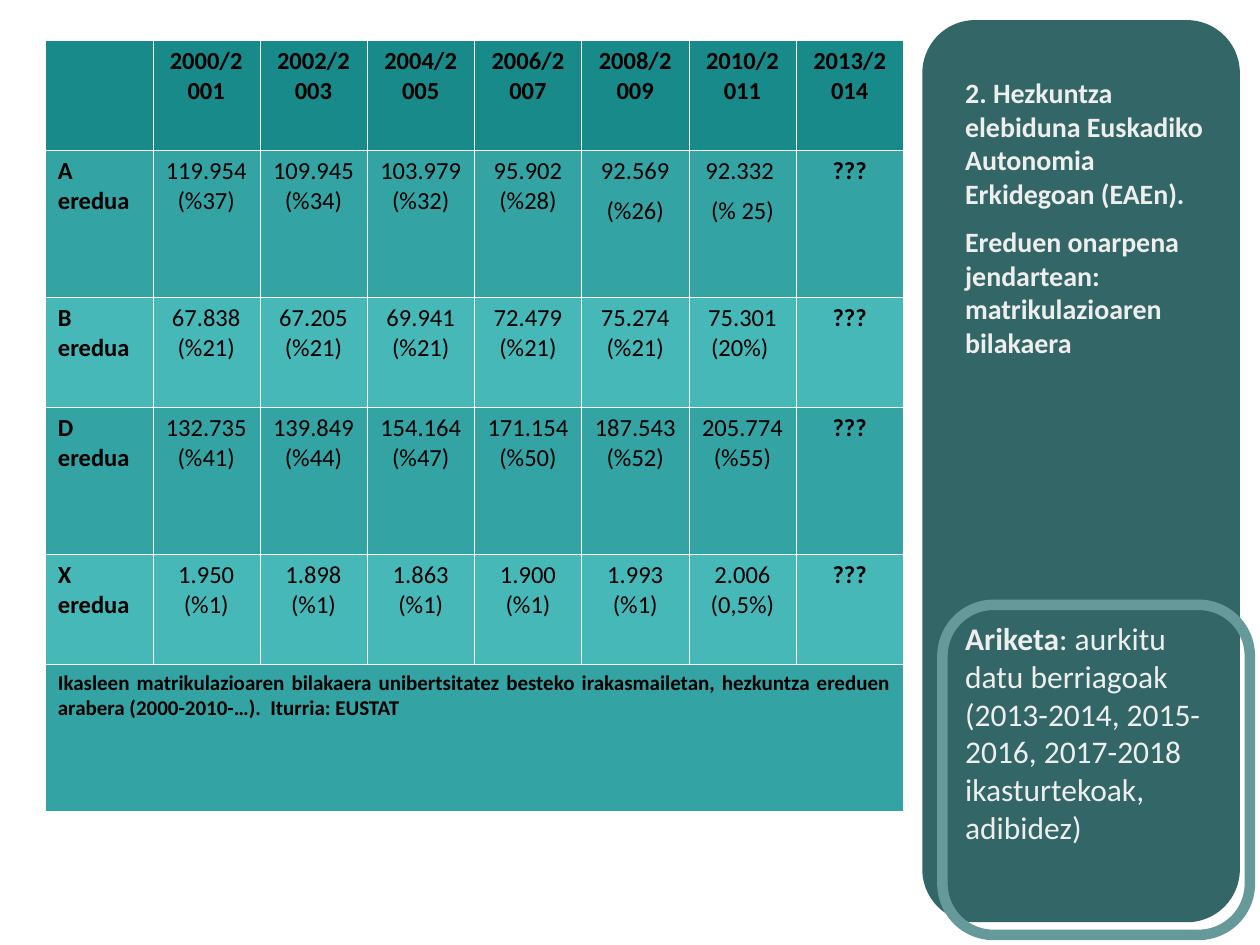
from pptx import Presentation
from pptx.dml.color import RGBColor
from pptx.enum.shapes import MSO_SHAPE
from pptx.enum.text import MSO_ANCHOR, MSO_AUTO_SIZE, PP_ALIGN
from pptx.oxml import parse_xml
from pptx.oxml.ns import nsdecls
from pptx.util import Inches, Pt

ROUNDED = MSO_SHAPE.ROUNDED_RECTANGLE
CENTER, JUSTIFY, LEFT = PP_ALIGN.CENTER, PP_ALIGN.JUSTIFY, PP_ALIGN.LEFT
FONT = "Calibri"
HEADER, DARK_BAND, LIGHT_BAND = "198A8A", "33A3A3", "47B8B8"
PANEL, RING, PALE = "336666", "669999", "EEEEEE"

YEARS = ["", "2000/2001", "2002/2003", "2004/2005", "2006/2007",
         "2008/2009", "2010/2011", "2013/2014"]
MODELS = [
    ["A eredua", "119.954 (%37)", "109.945 (%34)", "103.979 (%32)",
     "95.902 (%28)", "92.569\n(%26)", "92.332 \n(% 25)", "???"],
    ["B eredua", "67.838 (%21)", "67.205 (%21)", "69.941 (%21)",
     "72.479 (%21)", "75.274 (%21)", "75.301 (20%)\u00a0", "???"],
    ["D eredua", "132.735 (%41)", "139.849 (%44)", "154.164 (%47)",
     "171.154 (%50)", "187.543 (%52)", "205.774 (%55)", "???"],
    ["X eredua", "1.950 (%1)", "1.898 (%1)", "1.863 (%1)",
     "1.900 (%1)", "1.993 (%1)", "2.006 (0,5%)", "???"],
]
CAPTION = ("Ikasleen matrikulazioaren bilakaera unibertsitatez besteko "
           "irakasmailetan, hezkuntza ereduen arabera (2000-2010-…).  "
           "Iturria: EUSTAT")
# Each paragraph: size, space before, (text, bold) runs
SIDEBAR = [
    (16, 8.5, [("2. Hezkuntza elebiduna Euskadiko Autonomia Erkidegoan "
                "(EAEn). ", True)]),
    (16, 8.5, [("Ereduen onarpena jendartean: matrikulazioaren bilakaera",
                True)]),
    (18, 148.5, [("Ariketa", True),
                 (": aurkitu datu berriagoak (2013-2014, 2015-2016, "
                  "2017-2018 ikasturtekoak, adibidez)", False)]),
]


def color(hex_code):
    """Turn a hex string into a colour."""
    return RGBColor.from_string(hex_code)


def box(*lengths):
    """Turn left, top, width and height in inches into lengths."""
    return [Inches(v) for v in lengths]


def add_rounded(s, place, fill=None, line=None):
    """Add a rounded rectangle that is either filled or outlined."""
    sp = s.shapes.add_shape(ROUNDED, *box(*place))
    sp.shadow.inherit = False
    if fill:
        sp.fill.solid()
        sp.fill.fore_color.rgb = color(fill)
        sp.line.fill.background()
    else:
        sp.fill.background()
        sp.line.color.rgb = color(line)
        sp.line.width = Pt(6)
    return sp


def add_borders(cell):
    """Give a cell white hairlines on its four sides."""
    tc_pr = cell._tc.get_or_add_tcPr()
    for i, side in enumerate("LRTB"):
        tc_pr.insert(i, parse_xml(
            f'<a:ln{side} {nsdecls("a")} w="762"><a:solidFill>'
            f'<a:srgbClr val="FFFFFF"/></a:solidFill></a:ln{side}>'))


def fill_cell(cell, text, fill, align, bold, size=14):
    """Write, colour and outline one table cell."""
    cell.fill.solid()
    cell.fill.fore_color.rgb = color(fill)
    add_borders(cell)
    cell.text = text
    for p in cell.text_frame.paragraphs:
        p.alignment, p.space_after = align, Pt(6)
        p.font.name, p.font.size, p.font.bold = FONT, Pt(size), bold
        p.font.color.rgb = color("000000")


def add_enrolment_table(s):
    """Add the table of pupils by model and school year."""
    rows = [YEARS, *MODELS, [CAPTION] + [""] * (len(YEARS) - 1)]
    last = len(rows) - 1
    table = s.shapes.add_table(len(rows), len(YEARS),
                               *box(0.36, 0.32, 6.81, 6.12)).table
    for r, row in enumerate(rows):
        table.rows[r].height = Inches(1.17 if r % 2 else 0.87)
        fill = HEADER if r == 0 else DARK_BAND if r % 2 else LIGHT_BAND
        for c, text in enumerate(row):
            fill_cell(table.cell(r, c), text, fill,
                      JUSTIFY if r and c == 0 else CENTER,
                      r in (0, last) or c in (0, len(YEARS) - 1),
                      12 if r == last else 14)
    table.cell(last, 0).merge(table.cell(last, len(YEARS) - 1))


def write_sidebar(body):
    """Place the body placeholder over the panel and fill it."""
    body.left, body.top, body.width, body.height = box(7.56, 0.55, 2.17, 6.51)
    tf = body.text_frame
    tf.word_wrap, tf.auto_size = True, MSO_AUTO_SIZE.NONE
    tf.vertical_anchor = MSO_ANCHOR.TOP
    for i, (size, before, runs) in enumerate(SIDEBAR):
        p = tf.add_paragraph() if i else tf.paragraphs[0]
        p.alignment, p.space_before = LEFT, Pt(before)
        p.font.name, p.font.size = FONT, Pt(size)
        p.font.color.rgb = color(PALE)
        p_pr = p._p.get_or_add_pPr()
        p_pr.set("marL", "0")
        p_pr.set("indent", "0")
        p_pr.insert_element_before(
            parse_xml(f'<a:buNone {nsdecls("a")}/>'), "a:tabLst", "a:defRPr")
        for text, bold in runs:
            r = p.add_run()
            r.text, r.font.bold = text, bold


prs = Presentation()
prs.slide_width, prs.slide_height = Inches(10), Inches(7.5)
s = prs.slides.add_slide(prs.slide_layouts[1])
title, body = s.shapes.title, s.placeholders[1]
title._element.getparent().remove(title._element)
panel = add_rounded(s, (7.32, 0.16, 2.52, 7.16), fill=PANEL)
body._element.addprevious(panel._element)
write_sidebar(body)
add_enrolment_table(s)
add_rounded(s, (7.48, 4.8, 2.44, 2.62), line=RING)
prs.save("out.pptx")
